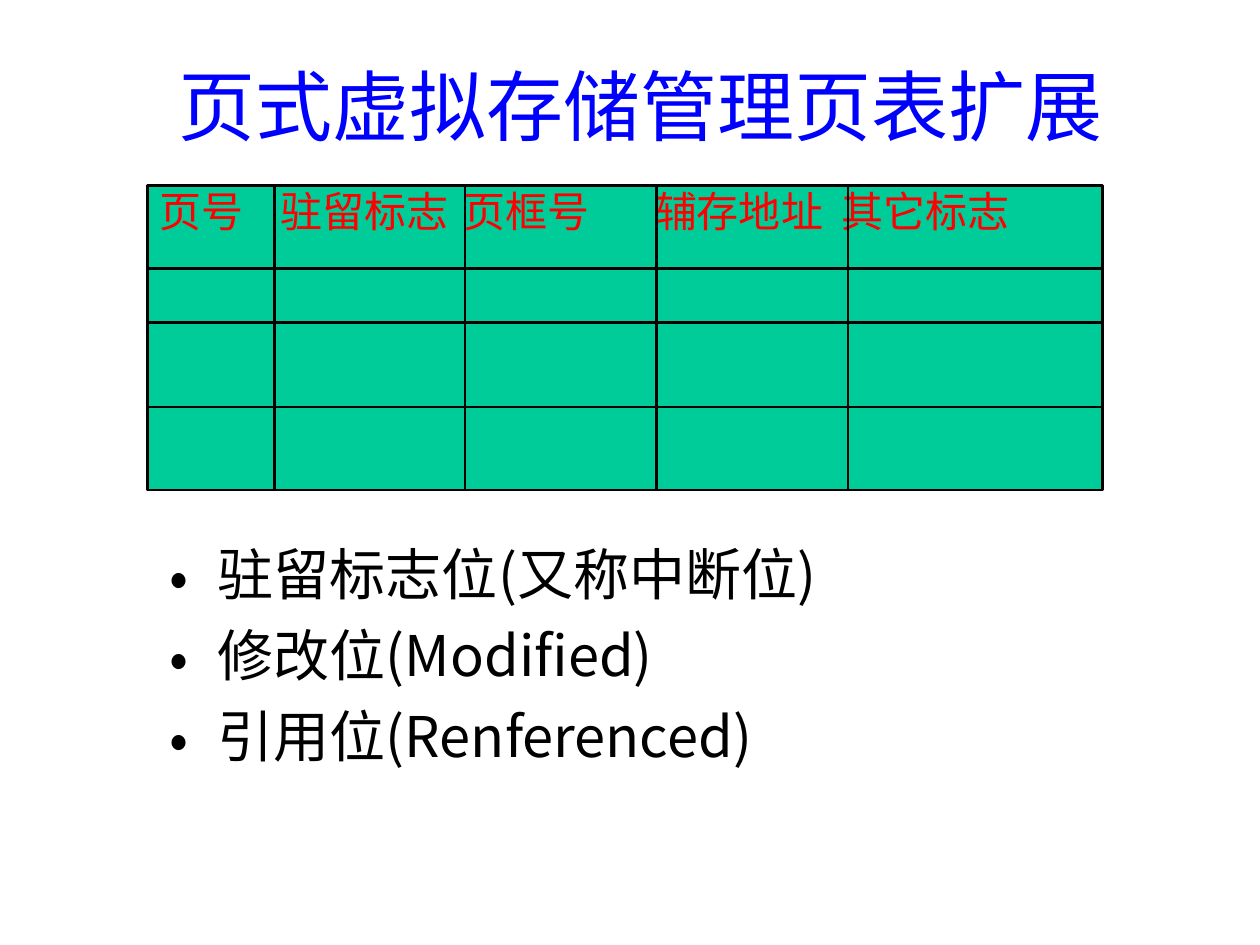
from itertools import accumulate

from lxml import etree
from pptx import Presentation
from pptx.dml.color import RGBColor
from pptx.enum.shapes import MSO_CONNECTOR as Link, MSO_SHAPE as Kind
from pptx.enum.text import MSO_ANCHOR as Anchor, PP_ALIGN as Align
from pptx.oxml.ns import qn
from pptx.util import Inches, Pt

FONT = "Noto Sans CJK JP"
INK = "000000"
HEADS = ["页号", "驻留标志", "页框号", "辅存地址", "其它标志"]
TABS = [0.96, 2.41, 3.93, 5.41]
COLS = [1.01, 1.51, 1.52, 1.52]
ROWS = [0.66, 0.43, 0.67]
FLAGS = ["驻留标志位(又称中断位)", "修改位(Modified)", "引用位(Renferenced)"]


def color(code):
    return RGBColor.from_string(code)


def add_run(para, text, size, code):
    run = para.add_run()
    run.text = text
    run.font.size = Pt(size)
    run.font.name = FONT
    run.font.color.rgb = color(code)
    east = etree.SubElement(run.font._element, qn("a:ea"))
    east.set("typeface", FONT)


def add_frame(slide, left, top, width, height):
    box = slide.shapes.add_textbox(
        Inches(left), Inches(top), Inches(width), Inches(height))
    box.text_frame.word_wrap = True
    return box.text_frame


def add_title(slide, left, top, width, height):
    frame = add_frame(slide, left, top, width, height)
    frame.vertical_anchor = Anchor.MIDDLE
    frame.margin_bottom = Inches(0.8)
    para = frame.paragraphs[0]
    para.alignment = Align.CENTER
    add_run(para, "页式虚拟存储管理页表扩展", 44, "0000FF")


def set_line(line):
    line.color.rgb = color(INK)
    line.width = Pt(1.5)


def add_rule(group, x1, y1, x2, y2):
    rule = group.shapes.add_connector(
        Link.STRAIGHT, Inches(x1), Inches(y1), Inches(x2), Inches(y2))
    set_line(rule.line)
    etree.SubElement(rule._element.spPr, qn("a:effectLst"))


def add_heads(frame):
    frame.word_wrap = True
    frame.vertical_anchor = Anchor.TOP
    frame.margin_top = 0
    para = frame.paragraphs[0]
    para.alignment = Align.LEFT
    stops = etree.SubElement(para._p.get_or_add_pPr(), qn("a:tabLst"))
    for pos in TABS:
        etree.SubElement(stops, qn("a:tab"), pos=str(Inches(pos)), algn="l")
    for i, head in enumerate(HEADS):
        add_run(para, "\t" + head if i else head, 24, "FF0000")


def add_grid(slide, left, top, width, height):
    group = slide.shapes.add_group_shape()
    # Field with the header text
    field = group.shapes.add_shape(
        Kind.RECTANGLE, Inches(left), Inches(top),
        Inches(width), Inches(height))
    field.shadow.inherit = False
    field.fill.solid()
    field.fill.fore_color.rgb = color("00CC99")
    set_line(field.line)
    add_heads(field.text_frame)
    # Column and row rules
    for x in accumulate(COLS, initial=left):
        if x > left:
            add_rule(group, x, top, x, top + height)
    for y in accumulate(ROWS, initial=top):
        if y > top:
            add_rule(group, left, y, left + width, y)


def add_flags(slide, left, top, width, height):
    frame = add_frame(slide, left, top, width, height)
    frame.margin_top = Inches(0.7)
    for i, flag in enumerate(FLAGS):
        para = frame.add_paragraph() if i else frame.paragraphs[0]
        props = para._p.get_or_add_pPr()
        props.set("marL", str(Inches(0.38)))
        props.set("indent", str(Inches(-0.38)))
        etree.SubElement(props, qn("a:buFont")).set("typeface", FONT)
        etree.SubElement(props, qn("a:buChar")).set("char", "•")
        if i:
            para.space_before = Pt(8)
        add_run(para, flag, 32, INK)


def main():
    deck = Presentation()
    deck.slide_width, deck.slide_height = Inches(10), Inches(7.5)
    slide = deck.slides.add_slide(deck.slide_layouts[6])
    add_title(slide, 0.75, 0.5, 8.67, 1.42)
    add_flags(slide, 1.25, 3.58, 8.5, 3.67)
    add_grid(slide, 1.17, 1.47, 7.58, 2.42)
    deck.save("out.pptx")


if __name__ == "__main__":
    main()
